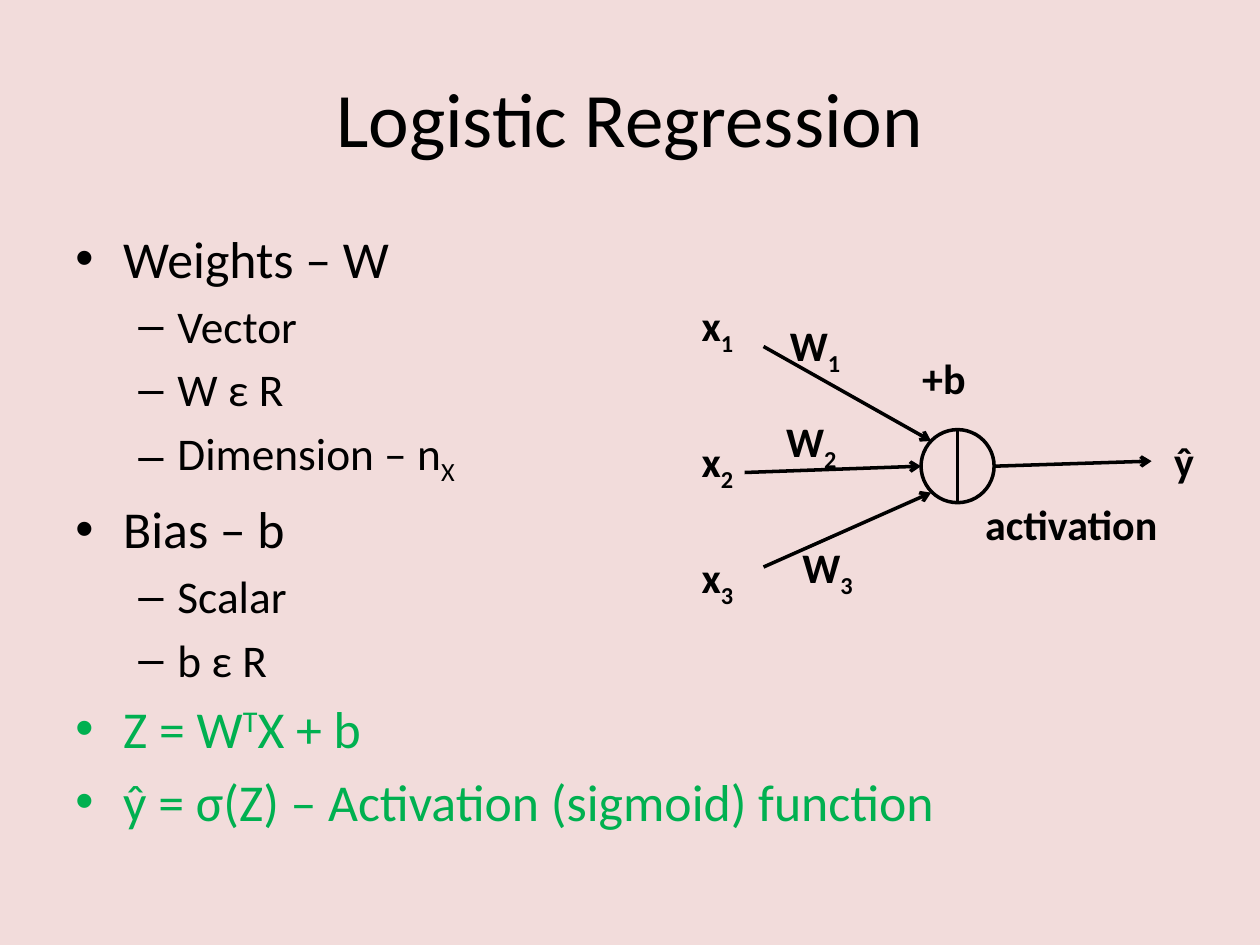
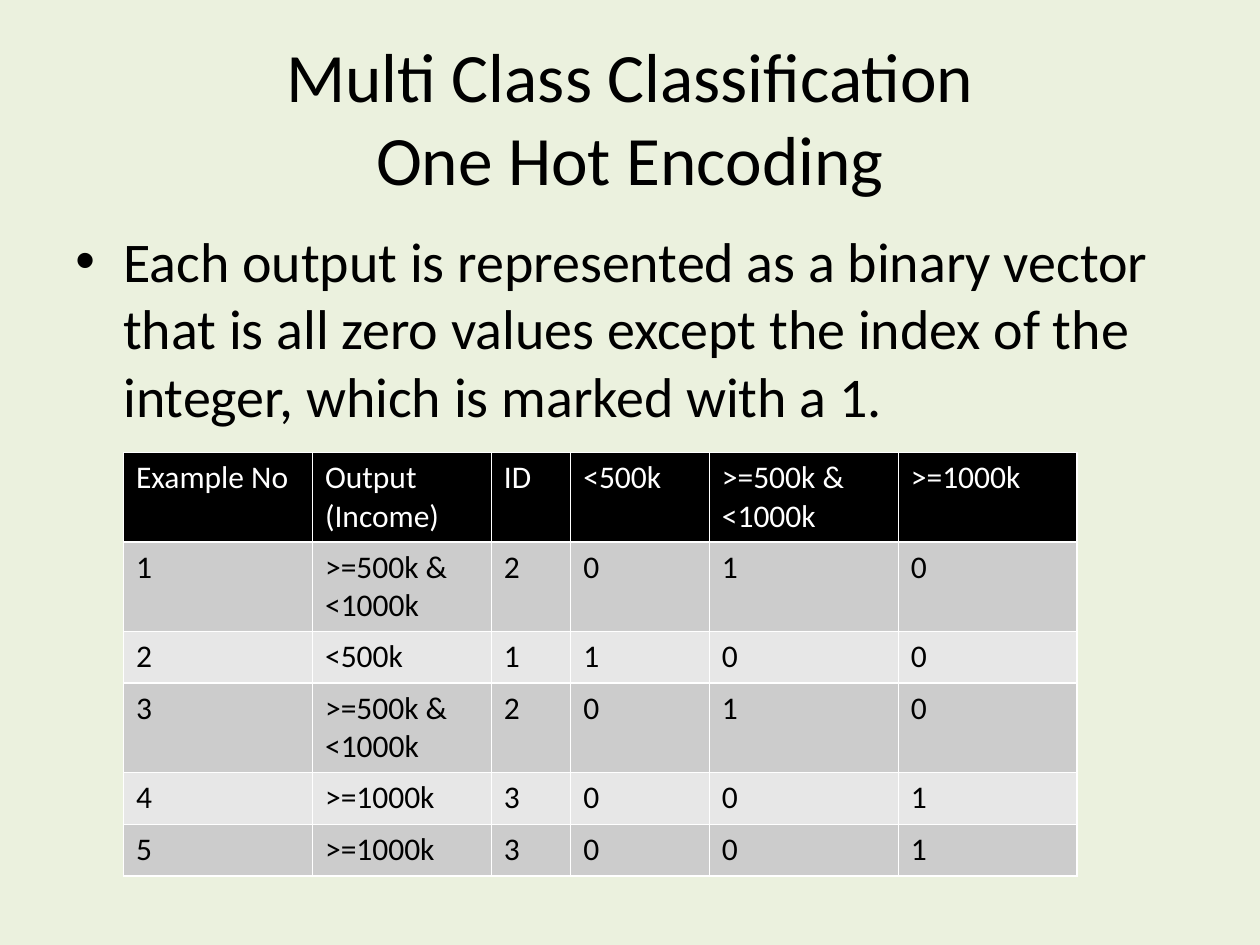
from lxml.etree import SubElement
from pptx import Presentation
from pptx.dml.color import RGBColor
from pptx.enum.shapes import MSO_CONNECTOR as Connector, MSO_SHAPE as Preset
from pptx.enum.text import MSO_ANCHOR as Anchor, MSO_AUTO_SIZE as AutoSize, PP_ALIGN as Align
from pptx.oxml.ns import qn
from pptx.util import Inches, Pt

COLORS = {
    "ink": "000000", "white": "FFFFFF", "formula": "00B050",
    "rose": "F2DCDB", "sage": "EBF1DE", "dark_band": "CCCCCC", "light_band": "E7E7E7",
}
FONT = "Calibri"
TITLE_BOX = (0.5, 0.3, 9, 1.25)
BODY_BOX = (0.5, 1.75, 9, 4.95)
NETWORK_BOX = (5.47, 2.33, 4.11, 2.5)
TABLE_BOX = (0.98, 3.59, 7.56, 2.46)
LEVELS = [("•", 0.38, -0.38), ("–", 0.81, -0.31)]
SUBSCRIPT, SUPERSCRIPT = -25, 30

PARAMETERS = [
    (0, ["Weights – W"], "ink"),
    (1, ["Vector"], "ink"),
    (1, ["W ε R"], "ink"),
    (1, ["Dimension – n", ("X", SUBSCRIPT)], "ink"),
    (0, ["Bias – b"], "ink"),
    (1, ["Scalar"], "ink"),
    (1, ["b ε R"], "ink"),
    (0, ["Z = W", ("T", SUPERSCRIPT), "X + b"], "formula"),
    (0, ["ŷ = σ(Z) – Activation (sigmoid) function"], "formula"),
]
ENCODING = [
    (0, ["Each output is represented as a binary vector that is all zero values "
         "except the index of the integer, which is marked with a 1."], "ink"),
]
LOW, MIDDLE, HIGH = CLASSES = ["<500k", ">=500k & <1000k", ">=1000k"]
INCOMES = [MIDDLE, LOW, MIDDLE, HIGH, HIGH]
COLUMN_WIDTHS = [1.5, 1.42, 0.63, 1.1, 1.5, 1.42]


def rgb(name):
    """Return the named colour."""
    return RGBColor.from_string(COLORS[name])


def write(paragraph, pieces, size=24, color="ink", bold=False, align=None, space=0):
    """Write strings and (string, baseline) pairs into a paragraph."""
    paragraph.alignment = align
    paragraph.space_before = Pt(space)
    for piece in pieces:
        text, baseline = piece if isinstance(piece, tuple) else (piece, 0)
        for number, line in enumerate(text.split("\n")):
            if number:
                paragraph.add_line_break()
            run = paragraph.add_run()
            run.text = line
            font = run.font
            font.name, font.size, font.bold = FONT, Pt(size), bold
            font.color.rgb = rgb(color)
            if baseline:
                font._element.set("baseline", str(baseline * 1000))


def add_text_frame(slide, box, wrap=True):
    """Add a text box and return its text frame."""
    frame = slide.shapes.add_textbox(*map(Inches, box)).text_frame
    frame.word_wrap = wrap
    frame.auto_size = AutoSize.NONE if wrap else AutoSize.SHAPE_TO_FIT_TEXT
    return frame


def add_bullet(paragraph, level):
    """Give a paragraph the bullet and indent of its level."""
    symbol, margin, indent = LEVELS[level]
    properties = paragraph._p.get_or_add_pPr()
    properties.set("marL", str(Inches(margin)))
    properties.set("indent", str(Inches(indent)))
    SubElement(properties, qn("a:buFont")).set("typeface", "Arial")
    SubElement(properties, qn("a:buChar")).set("char", symbol)
    paragraph.level = level


def add_titled_slide(presentation, title, size, background):
    """Add a blank slide with a background and a centred title."""
    slide = presentation.slides.add_slide(presentation.slide_layouts[6])
    slide.background.fill.solid()
    slide.background.fill.fore_color.rgb = rgb(background)
    frame = add_text_frame(slide, TITLE_BOX)
    frame.vertical_anchor = Anchor.MIDDLE
    write(frame.paragraphs[0], [title], size=size, align=Align.CENTER)
    return slide


def add_bullet_list(slide, box, items, sizes):
    """Add a two-level bullet list."""
    frame = add_text_frame(slide, box)
    for number, (level, pieces, color) in enumerate(items):
        paragraph = frame.add_paragraph() if number else frame.paragraphs[0]
        add_bullet(paragraph, level)
        space = 0.2 * sizes[level] if number else 0
        write(paragraph, pieces, size=sizes[level], color=color, space=space)


def add_line(slide, start, end, arrow=True):
    """Draw a line, with an open arrowhead at its end if asked."""
    line = slide.shapes.add_connector(Connector.STRAIGHT, *map(Inches, start + end))
    line.line.color.rgb = rgb("ink")
    line.line.width = Pt(2)
    if arrow:
        SubElement(line.line._get_or_add_ln(), qn("a:tailEnd")).set("type", "arrow")
    SubElement(line._element.spPr, qn("a:effectLst"))


def add_network(slide, box):
    """Draw the single neuron with its inputs, weights and output."""
    left, top, width, height = box

    def at(x, y):
        return left + x, top + y

    def label(x, y, label_width, *pieces):
        frame = add_text_frame(slide, at(x, y) + (label_width, 0.5), wrap=False)
        write(frame.paragraphs[0], pieces, bold=True)

    diameter = 0.58
    neuron_x, neuron_y = 1.84, 1.08
    center_x, center_y = neuron_x + diameter / 2, neuron_y + diameter / 2
    neuron = slide.shapes.add_shape(
        Preset.OVAL, *map(Inches, at(neuron_x, neuron_y) + (diameter, diameter)))
    neuron.shadow.inherit = False
    neuron.fill.background()
    neuron.line.color.rgb = rgb("ink")
    neuron.line.width = Pt(2)
    add_line(slide, at(center_x, neuron_y), at(center_x, neuron_y + diameter), arrow=False)

    inputs = [
        (0, (0.7, 0.16), (0.59, 0.42), (1.92, 1.17)),
        (1.08, (0.67, 0.92), (0.44, 1.42), (neuron_x, center_y)),
        (2, (0.8, 1.92), (0.59, 2.17), (1.92, 1.58)),
    ]
    for number, (input_y, weight, start, end) in enumerate(inputs, 1):
        index = (str(number), SUBSCRIPT)
        label(0, input_y, 0.47, "x", index)
        label(*weight, 0.62, "W", index)
        add_line(slide, at(*start), at(*end))

    add_line(slide, at(neuron_x + diameter, center_y), at(3.67, 1.33))
    label(width - 0.36, neuron_y, 0.36, "ŷ")
    label(1.75, 0.42, 0.55, "+b")
    label(2.25, 1.58, 1.59, "activation")


def add_borders(cell):
    """Give a cell thin white borders."""
    properties = cell._tc.get_or_add_tcPr()
    for position, side in enumerate(("lnL", "lnR", "lnT", "lnB")):
        border = SubElement(properties, qn(f"a:{side}"), w=str(Pt(1)))
        fill = SubElement(border, qn("a:solidFill"))
        SubElement(fill, qn("a:srgbClr")).set("val", COLORS["white"])
        properties.insert(position, border)


def add_encoding_table(slide, box):
    """Add the table of one-hot encoded incomes."""
    rows = [["Example No", "Output\n(Income)", "ID"] + CLASSES]
    for number, income in enumerate(INCOMES, 1):
        one_hot = [str(int(income == name)) for name in CLASSES]
        rows.append([str(number), income, str(CLASSES.index(income) + 1)] + one_hot)
    table = slide.shapes.add_table(len(rows), len(rows[0]), *map(Inches, box)).table
    for column, width in zip(table.columns, COLUMN_WIDTHS):
        column.width = Inches(width)
    for row_number, row in enumerate(rows):
        band = "dark_band" if row_number % 2 else "light_band"
        for column_number, text in enumerate(row):
            cell = table.cell(row_number, column_number)
            cell.fill.solid()
            cell.fill.fore_color.rgb = rgb(band if row_number else "ink")
            add_borders(cell)
            for line_number, line in enumerate(text.split("\n")):
                frame = cell.text_frame
                paragraph = frame.add_paragraph() if line_number else frame.paragraphs[0]
                write(paragraph, [line], size=18, color="ink" if row_number else "white")


def build_regression_slide(presentation):
    """Build the logistic regression slide."""
    slide = add_titled_slide(presentation, "Logistic Regression", 44, "rose")
    add_bullet_list(slide, BODY_BOX, PARAMETERS, (29.6, 25.9))
    add_network(slide, NETWORK_BOX)


def build_encoding_slide(presentation):
    """Build the one-hot encoding slide."""
    title = "Multi Class Classification\nOne Hot Encoding"
    slide = add_titled_slide(presentation, title, 39.6, "sage")
    add_bullet_list(slide, BODY_BOX, ENCODING, (32, 28))
    add_encoding_table(slide, TABLE_BOX)


def main():
    """Build and save the presentation."""
    presentation = Presentation()
    presentation.slide_width, presentation.slide_height = Inches(10), Inches(7.5)
    build_regression_slide(presentation)
    build_encoding_slide(presentation)
    presentation.save("out.pptx")


if __name__ == "__main__":
    main()
